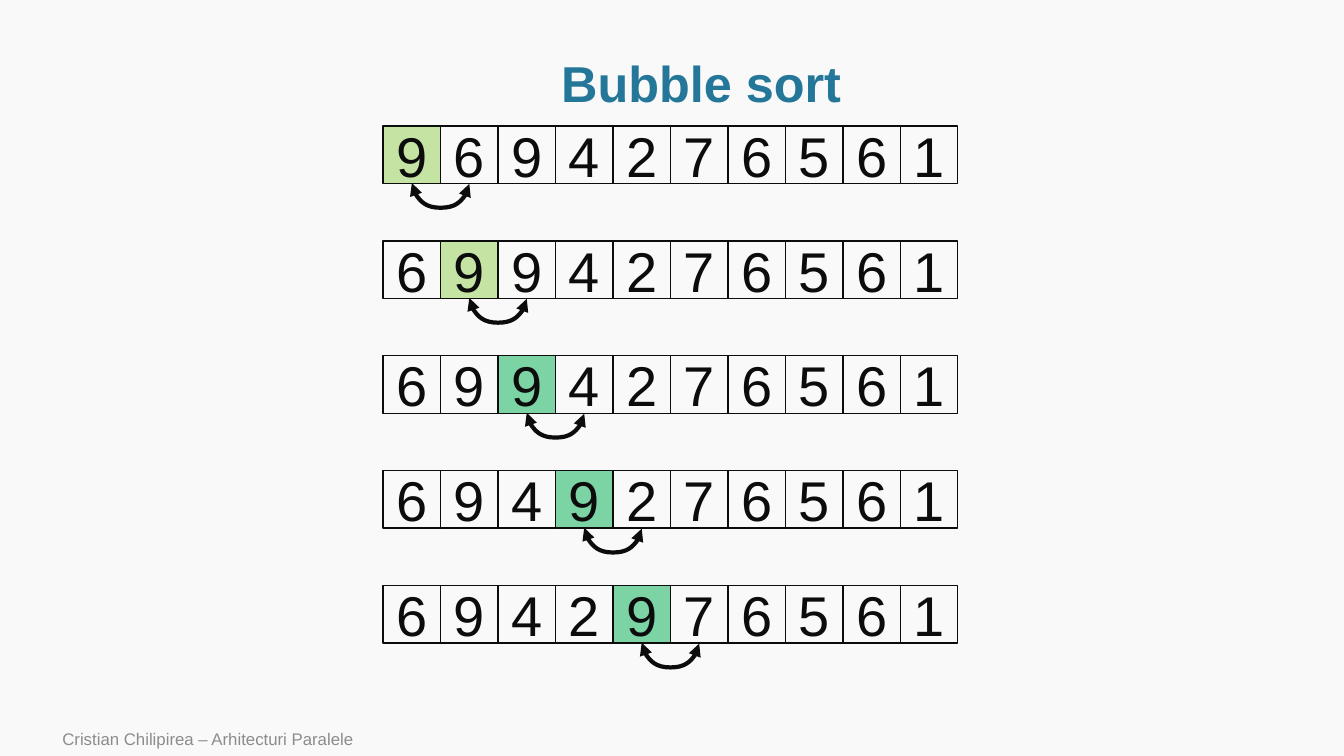
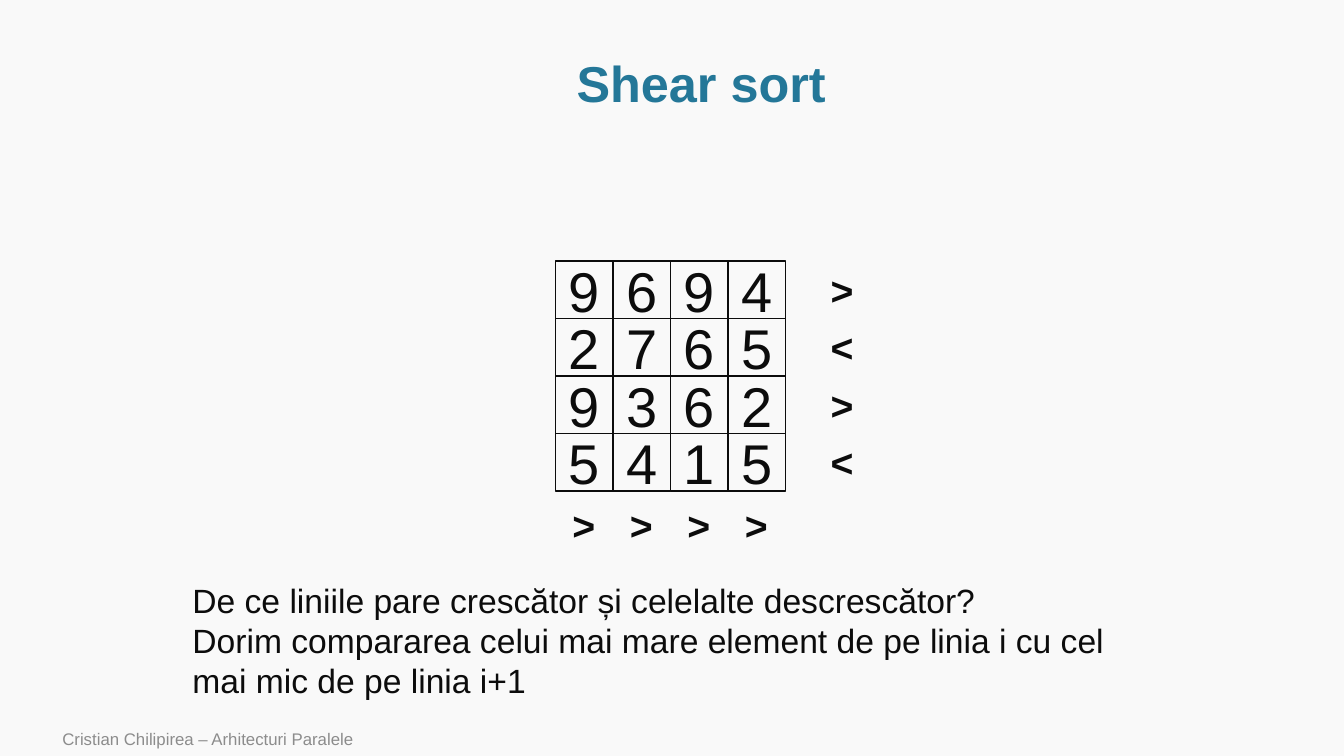
from lxml import etree
from pptx import Presentation
from pptx.dml.color import RGBColor
from pptx.enum.shapes import MSO_CONNECTOR, MSO_SHAPE
from pptx.enum.text import MSO_ANCHOR, PP_ALIGN
from pptx.oxml.ns import qn
from pptx.util import Inches, Pt

# Content
FOOTER = "Cristian Chilipirea – Arhitecturi Paralele"
BUBBLE_TITLE = "Bubble sort"
BUBBLE_STEPS = [  # values, colour of the moving element
    ("9694276561", "lime"),
    ("6994276561", "lime"),
    ("6994276561", "green"),
    ("6949276561", "green"),
    ("6942976561", "green"),
]
SHEAR_TITLE = "Shear sort"
SHEAR_ROWS = [("9694", ">"), ("2765", "<"), ("9362", ">"), ("5415", "<")]
SHEAR_COLUMN_ORDERS = ">>>>"
SHEAR_NOTES = [
    "De ce liniile pare crescător și celelalte descrescător?",
    "Dorim compararea celui mai mare element de pe linia i cu cel "
    "mai mic de pe linia i+1",
]

# Shared style
COLORS = {"background": "F9F9F9", "ink": "0C0C0C", "title": "247798",
          "footer": "8C8C8C", "lime": "92D050", "green": "00B050"}
FONT = "Arial"
CELL = 0.57


def rgb(name):
    return RGBColor.from_string(COLORS[name])


def style_text(tf, size, color="ink", bold=False, align=None):
    for p in tf.paragraphs:
        p.alignment = align
        for r in p.runs:
            r.font.name, r.font.size, r.font.bold = FONT, Pt(size), bold
            r.font.color.rgb = rgb(color)


def add_text(s, box, lines, size, color="ink", bold=False, wrap=True, anchor=MSO_ANCHOR.TOP):
    tf = s.shapes.add_textbox(*map(Inches, box)).text_frame
    tf.word_wrap, tf.vertical_anchor = wrap, anchor
    tf.text = "\n".join(lines)
    style_text(tf, size, color, bold)


def new_slide(prs, title):
    s = prs.slides.add_slide(prs.slide_layouts[5])
    sp = s.shapes.title
    sp.left, sp.top, sp.width, sp.height = map(Inches, (1.14, 0.51, 11.63, 0.69))
    tf = sp.text_frame
    tf.text, tf.vertical_anchor = title, MSO_ANCHOR.MIDDLE
    tf.paragraphs[0].line_spacing = 0.9
    style_text(tf, 36, "title", True, PP_ALIGN.CENTER)
    add_text(s, (0.52, 7.16, 8.4, 0.34), [FOOTER], 12, "footer", anchor=MSO_ANCHOR.MIDDLE)
    return s


def add_cell(s, x, y, value, fill=None):
    sp = s.shapes.add_shape(MSO_SHAPE.RECTANGLE, *map(Inches, (x, y, CELL, CELL)))
    sp.shadow.inherit = False
    sp.line.color.rgb, sp.line.width = rgb("ink"), Pt(1)
    if fill:
        sp.fill.solid()
        sp.fill.fore_color.rgb = rgb(fill)
        color = sp.element.spPr.find(".//" + qn("a:srgbClr"))
        etree.SubElement(color, qn("a:alpha"), val="50000")
    else:
        sp.fill.background()
    tf = sp.text_frame
    tf.text, tf.vertical_anchor = value, MSO_ANCHOR.MIDDLE
    style_text(tf, 40, align=PP_ALIGN.CENTER)


def add_swap_arrow(s, x, y):
    """Curve below two neighbouring cells that meet at x, with bottom edge y."""
    thin, depth = 0.01, 0.25
    # A quarter turn lays the upright, mirrored connector on its side
    ends = (x + thin / 2, y - CELL / 2, x - thin / 2, y + CELL / 2)
    c = s.shapes.add_connector(MSO_CONNECTOR.CURVE, *map(Inches, ends))
    c.line.color.rgb, c.line.width = rgb("ink"), Pt(3)
    spPr = c.element.spPr
    spPr.find(qn("a:xfrm")).set("rot", str(270 * 60000))
    guides = spPr.find(qn("a:prstGeom")).find(qn("a:avLst"))
    etree.SubElement(guides, qn("a:gd"), name="adj1", fmla=f"val {round(depth / thin * 100000)}")
    ln = spPr.find(qn("a:ln"))
    for end in ("a:headEnd", "a:tailEnd"):
        etree.SubElement(ln, qn(end), type="triangle")
    etree.SubElement(spPr, qn("a:effectLst"))


def build_bubble_sort(prs):
    s = new_slide(prs, BUBBLE_TITLE)
    left, top, pitch = 3.8, 1.25, 1.14
    for step, (values, color) in enumerate(BUBBLE_STEPS):
        y = top + step * pitch
        for col, value in enumerate(values):
            add_cell(s, left + col * CELL, y, value, color if col == step else None)
        add_swap_arrow(s, left + (step + 1) * CELL, y + CELL)


def build_shear_sort(prs):
    s = new_slide(prs, SHEAR_TITLE)
    left, top = 5.51, 2.59
    marks = []
    for row, (values, order) in enumerate(SHEAR_ROWS):
        y = top + row * CELL
        for col, value in enumerate(values):
            add_cell(s, left + col * CELL, y, value)
        marks.append((8.14, y, order))
    # Sort direction of each row and column
    marks += [(left + 0.07 + col * CELL, 4.92, order)
              for col, order in enumerate(SHEAR_COLUMN_ORDERS)]
    for x, y, order in marks:
        add_text(s, (x, y, 0.43, CELL), [order], 28, bold=True, wrap=False)
    add_text(s, (1.81, 5.7, 9.52, 1.31), SHEAR_NOTES, 24)


def main():
    prs = Presentation()
    prs.slide_width, prs.slide_height = Inches(13.33), Inches(7.5)
    fill = prs.slide_master.background.fill
    fill.solid()
    fill.fore_color.rgb = rgb("background")
    build_bubble_sort(prs)
    build_shear_sort(prs)
    prs.save("out.pptx")


if __name__ == "__main__":
    main()
